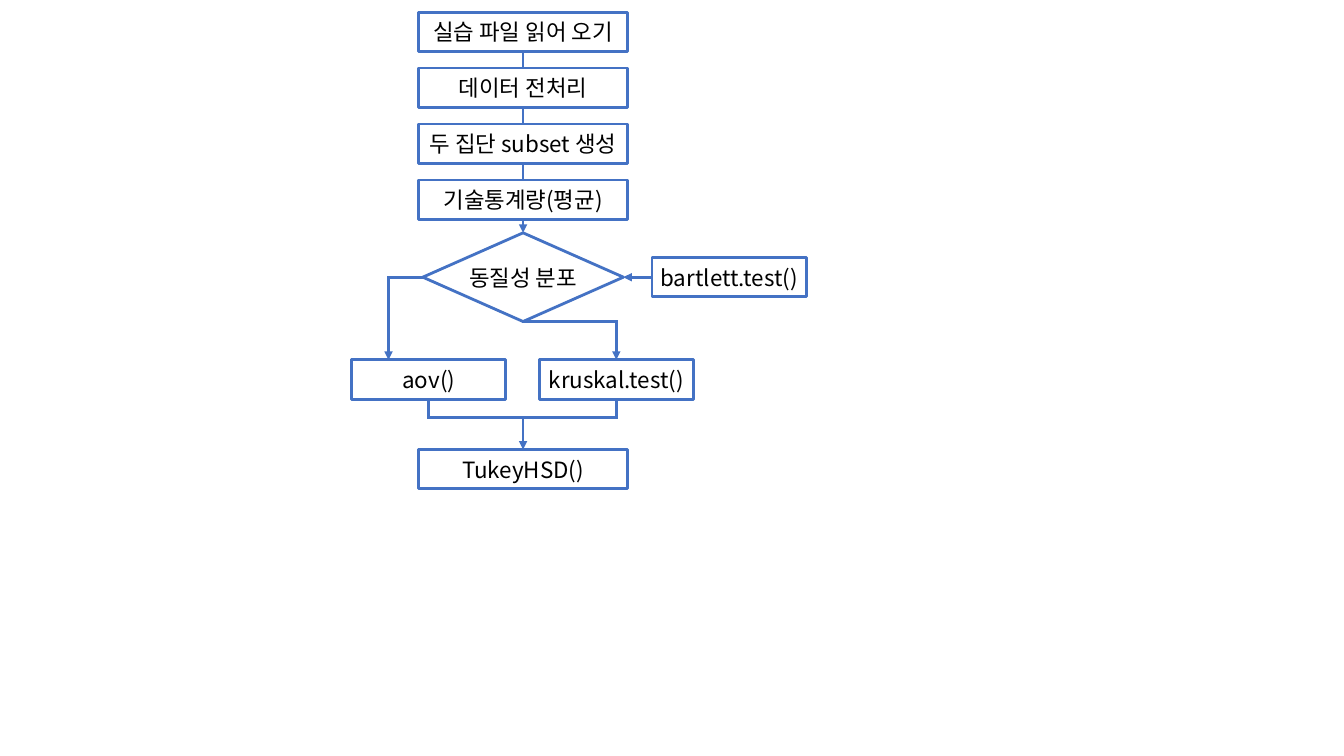
import dataclasses
import typing

import pptx
import pptx.dml.color
import pptx.enum.shapes
import pptx.enum.text
import pptx.oxml
import pptx.oxml.ns
import pptx.util

PX = 914400 // 200
COLORS = {"line": "4472C4", "fill": "FFFFFF", "text": "000000"}
FACE = "Noto Sans CJK KR"
SHAPES = pptx.enum.shapes.MSO_SHAPE
TOP, LEFT, BOTTOM, RIGHT = range(4)
INSET = 10 * PX
FRAME = {
    "word_wrap": False,
    "auto_size": pptx.enum.text.MSO_AUTO_SIZE.NONE,
    "vertical_anchor": pptx.enum.text.MSO_ANCHOR.MIDDLE,
    "margin_left": INSET,
    "margin_right": INSET,
    "margin_top": INSET,
    "margin_bottom": INSET,
}
FONT = {"name": FACE, "size": pptx.util.Pt(16)}
MID = 1038
WIDE, SLIM, HIGH = 416, 306, 78
STEP = 111


@dataclasses.dataclass
class Node:
    key: str
    text: str
    x: int
    y: int
    w: int
    h: int = HIGH
    kind: typing.Any = SHAPES.RECTANGLE


@dataclasses.dataclass
class Wire:
    start: tuple[int, int]
    end: tuple[int, int]
    arrow: bool = False
    tie: tuple[str, int] | None = None
    to: tuple[str, int] | None = None


STEPS = ["실습 파일 읽어 오기", "데이터 전처리", "두 집단 subset 생성", "기술통계량(평균)"]
NODES = [
    Node(f"step{i}", text, MID - WIDE // 2, 24 + STEP * i, WIDE)
    for i, text in enumerate(STEPS)
] + [
    Node("tukey", "TukeyHSD()", MID - WIDE // 2, 892, WIDE),
    Node("check", "동질성 분포", 839, 462, 398, 176, SHAPES.DIAMOND),
    Node("test", "bartlett.test()", 1294, 511, SLIM),
    Node("aov", "aov()", 698, 714, SLIM),
    Node("rank", "kruskal.test()", 1070, 714, SLIM),
]
WIRES = [
    Wire((MID, 102), (MID, 462), True, ("step0", BOTTOM), ("check", TOP)),
    Wire((1294, 550), (1237, 550), True, ("test", LEFT), ("check", RIGHT)),
    Wire((839, 550), (771, 550), False, ("check", LEFT)),
    Wire((771, 550), (771, 714), True),
    Wire((MID, 638), (1223, 638), False, ("check", BOTTOM)),
    Wire((1223, 638), (1223, 714), True, None, ("rank", TOP)),
    Wire((851, 792), (851, 828), False, ("aov", BOTTOM)),
    Wire((1223, 792), (1223, 828), False, ("rank", BOTTOM)),
    Wire((851, 828), (1223, 828)),
    Wire((MID, 828), (MID, 892), True, None, ("tukey", TOP)),
]


def tint(name: str) -> pptx.dml.color.RGBColor:
    return pptx.dml.color.RGBColor.from_string(COLORS[name])


def apply(target: typing.Any, values: dict[str, typing.Any]) -> None:
    for key, value in values.items():
        setattr(target, key, value)


def stroke(shape: typing.Any) -> None:
    shape.line.color.rgb = tint("line")
    shape.line.width = pptx.util.Pt(2)


def add_node(slide: typing.Any, node: Node) -> typing.Any:
    box = [n * PX for n in (node.x, node.y, node.w, node.h)]
    shape = slide.shapes.add_shape(node.kind, *box)
    shape.shadow.inherit = False
    shape.fill.solid()
    shape.fill.fore_color.rgb = tint("fill")
    stroke(shape)
    apply(shape.text_frame, FRAME)
    para = shape.text_frame.paragraphs[0]
    para.alignment = pptx.enum.text.PP_ALIGN.CENTER
    run = para.add_run()
    run.text = node.text
    apply(run.font, FONT)
    run.font.color.rgb = tint("text")
    east = pptx.oxml.ns.qn("a:ea")
    run.font._element.append(run.font._element.makeelement(east, {"typeface": FACE}))
    return shape


def add_wire(slide: typing.Any, wire: Wire) -> typing.Any:
    ends = [n * PX for n in (*wire.start, *wire.end)]
    line = slide.shapes.add_connector(pptx.enum.shapes.MSO_CONNECTOR.STRAIGHT, *ends)
    stroke(line)
    edge = line.line._get_or_add_ln()
    edge.set("cap", "sq")
    if wire.arrow:
        tail = pptx.oxml.ns.qn("a:tailEnd")
        edge.append(edge.makeelement(tail, {"type": "triangle"}))
    props = line._element.spPr
    props.append(props.makeelement(pptx.oxml.ns.qn("a:effectLst"), {}))
    return line


def main() -> None:
    deck = pptx.Presentation()
    deck.slide_width = 2667 * PX
    deck.slide_height = 1500 * PX
    slide = deck.slides.add_slide(deck.slide_layouts[6])
    lines = [add_wire(slide, wire) for wire in WIRES]
    nodes = {node.key: add_node(slide, node) for node in NODES}
    for wire, line in zip(WIRES, lines):
        if wire.tie:
            line.begin_connect(nodes[wire.tie[0]], wire.tie[1])
        if wire.to:
            line.end_connect(nodes[wire.to[0]], wire.to[1])
    deck.save("out.pptx")


if __name__ == "__main__":
    main()
